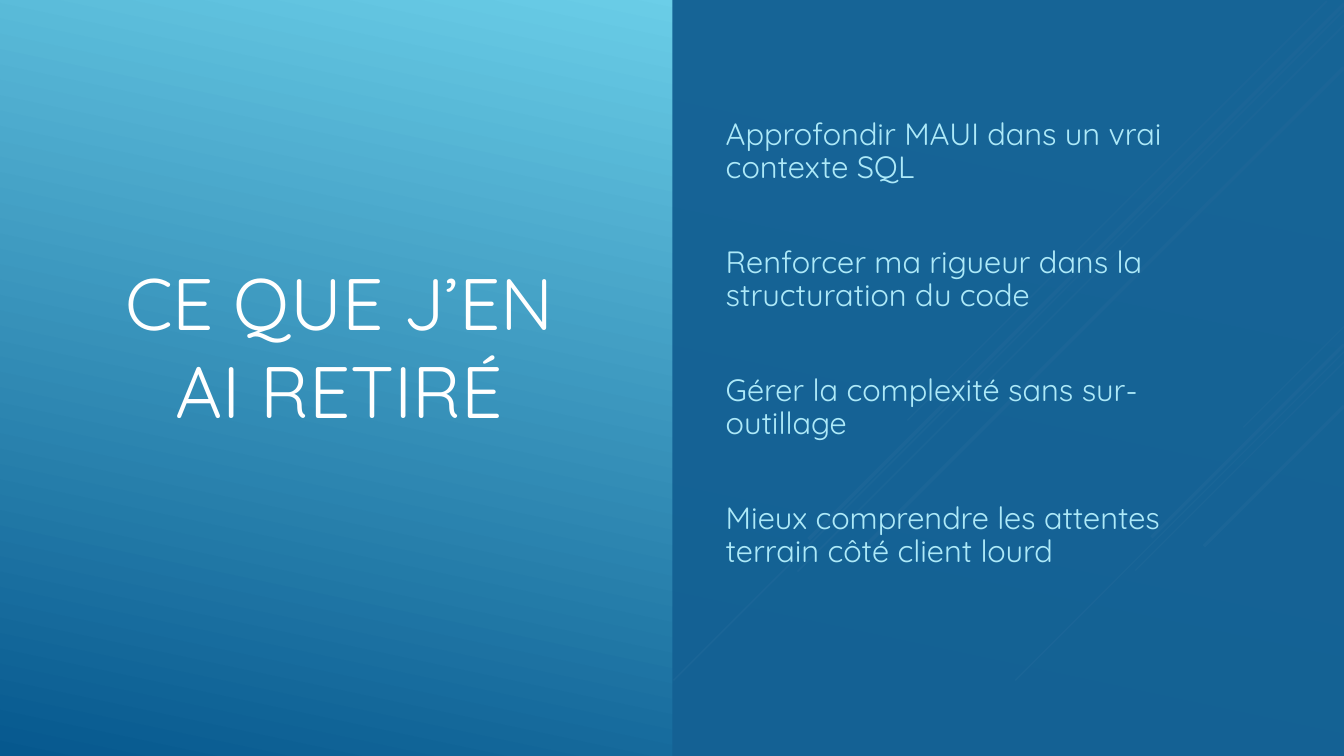
"""Builds the slide listing the lessons learned, on a blue gradient."""
import pptx
import pptx.dml.color
import pptx.enum.shapes
import pptx.enum.text
import pptx.oxml.ns
import pptx.util
from lxml import etree

Inches = pptx.util.Inches
Pt = pptx.util.Pt
RGBColor = pptx.dml.color.RGBColor

WHITE = RGBColor(0xFF, 0xFF, 0xFF)
SKY = RGBColor(0x6E, 0xD2, 0xEB)
NAVY = RGBColor(0x06, 0x58, 0x8E)
PANEL_BLUE = RGBColor(0x14, 0x61, 0x94)
PALE_BLUE = RGBColor(0xAD, 0xE9, 0xF8)
FONT = "Quicksand"

STREAKS = [
    (13.33, 3.24, 1, 0.75),
    (13.33, 3.49, 3.26, 0.75),
    (13.33, 3.59, 2.07, 0.75),
    (13.33, 3.42, 1.91, 2.25),
    (13.33, 4.03, 1.39, 2.25),
    (13.16, 0.01, 4.16, 1),
    (13.33, 0.1, 6.65, 1),
    (13.33, 0.25, 5.42, 1),
    (13.33, 0.04, 5.31, 2.5),
    (13.33, 0.67, 4.75, 2.5),
]
LESSONS = [
    "Approfondir MAUI dans un vrai contexte SQL",
    "Renforcer ma rigueur dans la structuration du code",
    "Gérer la complexité sans sur-outillage",
    "Mieux comprendre les attentes terrain côté client lourd",
]


def add_text_frame(left, top, width, height):
    box = page.shapes.add_textbox(
        Inches(left), Inches(top), Inches(width), Inches(height))
    frame = box.text_frame
    frame.word_wrap = True
    frame.vertical_anchor = pptx.enum.text.MSO_ANCHOR.MIDDLE
    return frame


def add_span(para, text, size, color):
    span = para.add_run()
    span.text = text
    span.font.name = FONT
    span.font.size = Pt(size)
    span.font.color.rgb = color


deck = pptx.Presentation()
deck.slide_width = Inches(13.33)
deck.slide_height = Inches(7.5)
page = deck.slides.add_slide(deck.slide_layouts[6])

backdrop = page.background.fill
backdrop.gradient()
backdrop.gradient_angle = 258
for stop, position, color in zip(backdrop.gradient_stops, (0.1, 1), (SKY, NAVY)):
    stop.position = position
    stop.color.rgb = color

for right, top, reach, weight in STREAKS:
    streak = page.shapes.add_connector(
        pptx.enum.shapes.MSO_CONNECTOR.STRAIGHT,
        Inches(right), Inches(top), Inches(right - reach), Inches(top + reach))
    streak.line.color.rgb = WHITE
    streak.line.width = Pt(weight)
    etree.SubElement(streak.element.spPr, pptx.oxml.ns.qn("a:effectLst"))

title_frame = add_text_frame(0.75, 0.75, 5.23, 5.35)
title_frame.margin_left = title_frame.margin_right = Inches(0.15)
title = title_frame.paragraphs[0]
title.alignment = pptx.enum.text.PP_ALIGN.CENTER
add_span(title, "CE QUE J’EN AI RETIRÉ", 52, WHITE)

panel = page.shapes.add_shape(
    pptx.enum.shapes.MSO_SHAPE.RECTANGLE,
    Inches(6.67), Inches(0), Inches(6.66), Inches(7.5))
panel.shadow.inherit = False
panel.fill.solid()
panel.fill.fore_color.rgb = PANEL_BLUE
panel.line.fill.background()
panel_color = panel.element.spPr.find(".//" + pptx.oxml.ns.qn("a:srgbClr"))
etree.SubElement(panel_color, pptx.oxml.ns.qn("a:alpha"), val="97000")

lessons_frame = add_text_frame(7.1, 0.75, 5.27, 5.33)
for index, lesson in enumerate(LESSONS):
    para = lessons_frame.add_paragraph() if index else lessons_frame.paragraphs[0]
    para.line_spacing = 0.9
    para.space_before = Pt(44 if index else 0)
    add_span(para, lesson, 22, PALE_BLUE)

deck.save("out.pptx")
